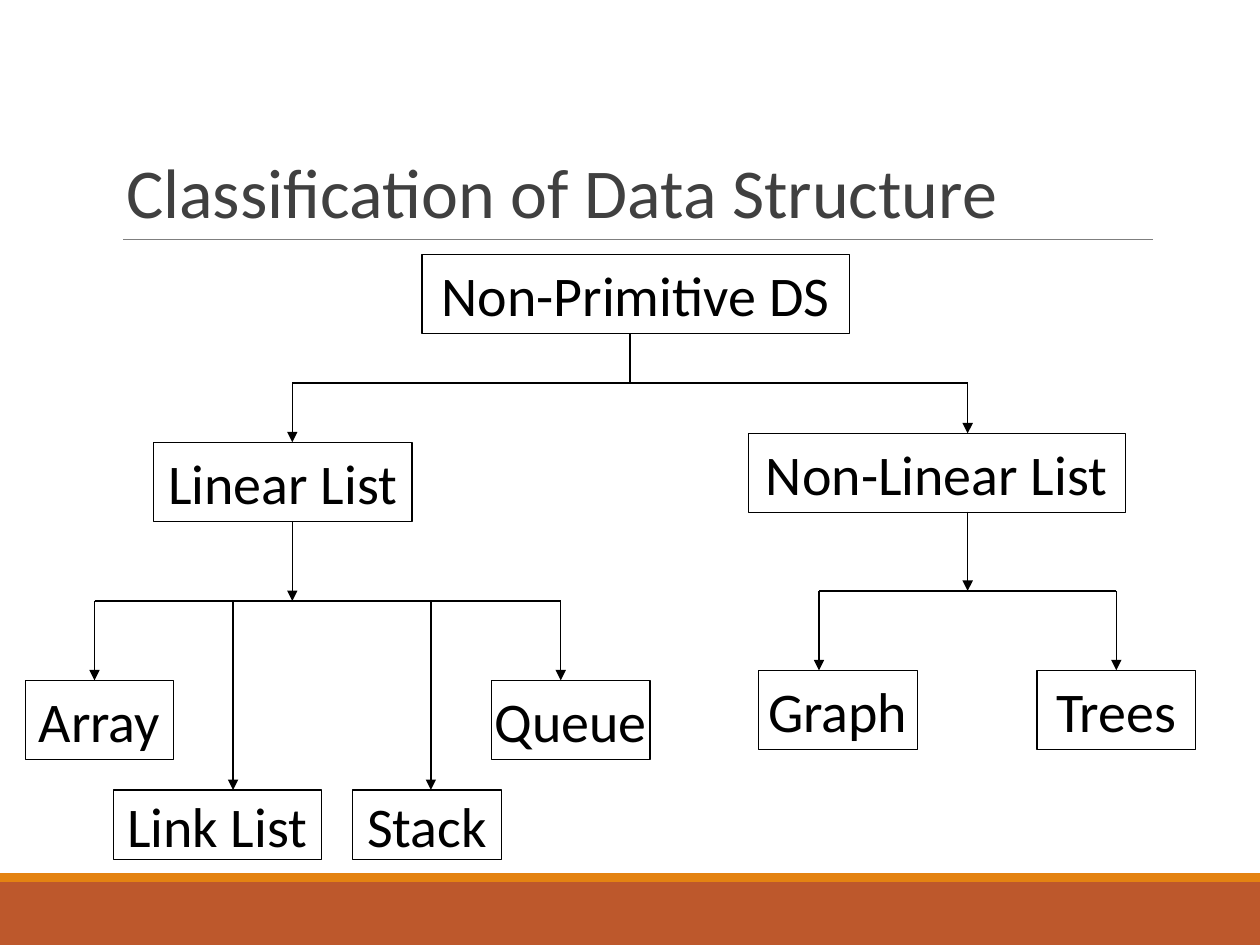
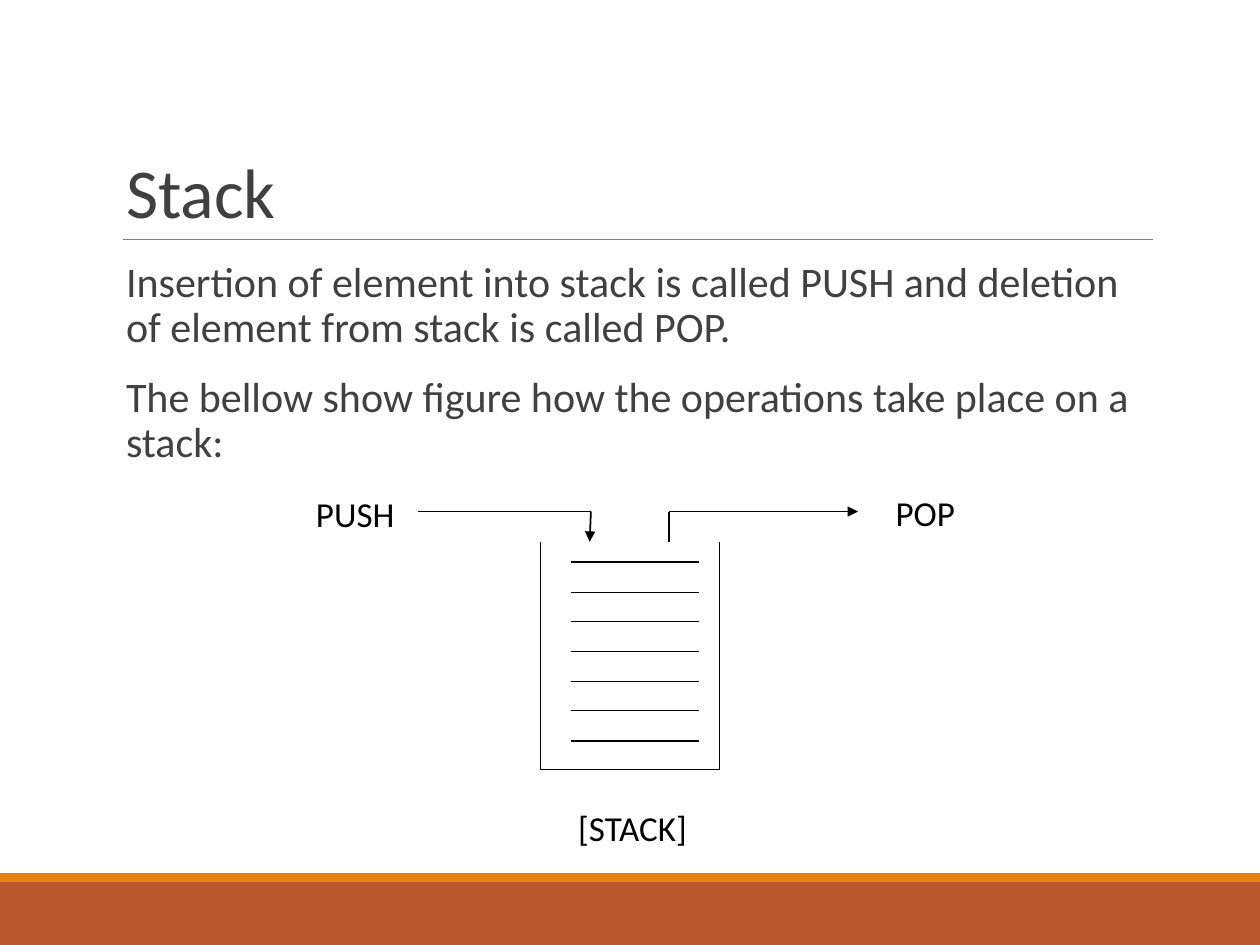
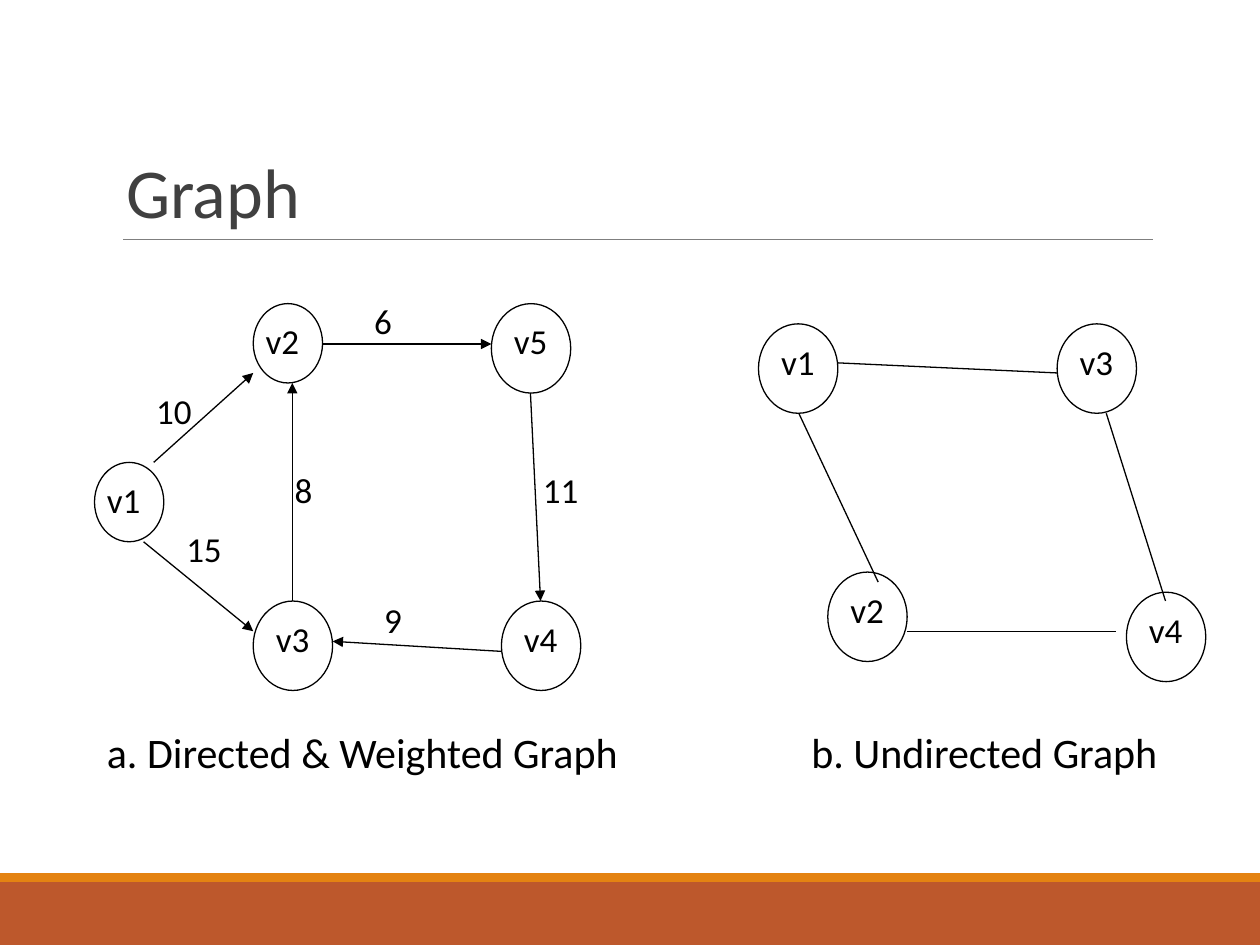
"""Build three slides on data structures: classification, stack and graph."""
import pptx
import pptx.dml.color
import pptx.enum.shapes
import pptx.enum.text
import pptx.oxml
import pptx.oxml.ns
import pptx.util

Inches = pptx.util.Inches
Pt = pptx.util.Pt
RGB = pptx.dml.color.RGBColor.from_string
SHAPE = pptx.enum.shapes.MSO_SHAPE
ANCHOR = pptx.enum.text.MSO_ANCHOR
ALIGN = pptx.enum.text.PP_ALIGN

FONT = "Calibri"
COLORS = {
    "paper": "FFFFFF",
    "ink": "000000",
    "heading": "404040",
    "rule": "7F7F7F",
    "band": "BD582C",
    "stripe": "E48312",
}


def draw_line(slide, start, end, color="ink", width=0.75, arrow=False):
    line = slide.shapes.add_connector(
        pptx.enum.shapes.MSO_CONNECTOR.STRAIGHT,
        *[Inches(value) for value in (*start, *end)])
    line.line.color.rgb = RGB(COLORS[color])
    line.line.width = Pt(width)
    if arrow:
        pptx.oxml.ns.qn("a:tailEnd")
        tip = line.line._get_or_add_ln().makeelement(
            pptx.oxml.ns.qn("a:tailEnd"), {"type": "triangle"})
        line.line._get_or_add_ln().append(tip)
    properties = line._element.spPr
    properties.append(properties.makeelement(pptx.oxml.ns.qn("a:effectLst"), {}))
    return line


def draw_block(slide, preset, place, fill, outline=None):
    block = slide.shapes.add_shape(preset, *[Inches(value) for value in place])
    block.shadow.inherit = False
    block.fill.solid()
    block.fill.fore_color.rgb = RGB(COLORS[fill])
    if outline:
        block.line.color.rgb = RGB(COLORS[outline])
        block.line.width = Pt(0.75)
    else:
        block.line.fill.background()
    return block


deck = pptx.Presentation()
deck.slide_width, deck.slide_height = Inches(10), Inches(7.5)

slides = []
for heading, layout in [("Classification of Data Structure", 5), ("Stack", 1), ("Graph", 5)]:
    slide = deck.slides.add_slide(deck.slide_layouts[layout])
    slide.background.fill.solid()
    slide.background.fill.fore_color.rgb = RGB(COLORS["paper"])
    draw_block(slide, SHAPE.RECTANGLE, (0, 7, 10, 0.5), "band")
    draw_block(slide, SHAPE.RECTANGLE, (0, 6.93, 10, 0.07), "stripe")
    draw_line(slide, (0.98, 1.9), (9.15, 1.9), "rule", 0.5)
    title = slide.shapes.title
    title.left, title.top = Inches(0.9), Inches(0.31)
    title.width, title.height = Inches(8.25), Inches(1.59)
    title.text_frame.text = heading
    title.text_frame.auto_size = pptx.enum.text.MSO_AUTO_SIZE.NONE
    title.text_frame.vertical_anchor = ANCHOR.BOTTOM
    paragraph = title.text_frame.paragraphs[0]
    paragraph.alignment = ALIGN.LEFT
    paragraph.line_spacing = 0.85
    paragraph.font.name, paragraph.font.size = FONT, Pt(40)
    paragraph.font.color.rgb = RGB(COLORS["heading"])
    slides.append(slide)
classification, stack, graph = slides

structures = {}
for name, place in [
    ("Non-Primitive DS", (3.35, 2.02, 3.39, 0.63)),
    ("Linear List", (1.22, 3.51, 2.05, 0.63)),
    ("Non-Linear List", (5.94, 3.44, 2.99, 0.63)),
    ("Array", (0.2, 5.4, 1.18, 0.63)),
    ("Link List", (0.9, 6.27, 1.65, 0.55)),
    ("Stack", (2.8, 6.27, 1.18, 0.55)),
    ("Queue", (3.9, 5.4, 1.26, 0.63)),
    ("Graph", (6.02, 5.32, 1.26, 0.63)),
    ("Trees", (8.23, 5.32, 1.26, 0.63)),
]:
    structure = draw_block(classification, SHAPE.RECTANGLE, place, "paper", "ink")
    structure.text_frame.text = name
    structure.text_frame.word_wrap = False
    structure.text_frame.vertical_anchor = ANCHOR.MIDDLE
    paragraph = structure.text_frame.paragraphs[0]
    paragraph.alignment = ALIGN.CENTER
    paragraph.font.name, paragraph.font.size = FONT, Pt(32)
    paragraph.font.color.rgb = RGB(COLORS["ink"])
    structures[name] = structure

draw_line(classification, (5, 2.65), (5, 3.04))
draw_line(classification, (2.32, 4.14), (2.32, 4.77), arrow=True)
draw_line(classification, (7.68, 4.06), (7.68, 4.69), arrow=True)
for fork_y, branches in [
    (3.04, [(2.32, 3.51), (7.68, 3.44)]),
    (4.77, [(0.75, 5.4), (1.85, 6.27), (3.42, 6.27), (4.45, 5.4)]),
    (4.69, [(6.5, 5.32), (8.86, 5.32)]),
]:
    draw_line(classification, (branches[0][0], fork_y), (branches[-1][0], fork_y))
    for x, y in branches:
        branch = draw_line(classification, (x, fork_y), (x, y), arrow=True)
branch.end_connect(structures["Trees"], 0)

operations = stack.placeholders[1]
operations.left, operations.top = Inches(0.9), Inches(2.02)
operations.width, operations.height = Inches(8.25), Inches(1.93)
operations.text_frame.text = (
    "Insertion of element into stack is called PUSH and deletion of element "
    "from stack is called POP.\n"
    "The bellow show figure how the operations take place on a stack:")
operations.text_frame.auto_size = pptx.enum.text.MSO_AUTO_SIZE.NONE
operations.text_frame.margin_right = 0
for paragraph in operations.text_frame.paragraphs:
    paragraph.line_spacing = 0.9
    paragraph.space_before, paragraph.space_after = Pt(12), Pt(2)
    paragraph.font.name, paragraph.font.size = FONT, Pt(24)
    paragraph.font.color.rgb = RGB(COLORS["heading"])
    settings = paragraph._p.get_or_add_pPr()
    settings.set("marL", "0")
    settings.set("indent", "0")
    bullet = settings.makeelement(pptx.oxml.ns.qn("a:buNone"), {})
    settings.find(pptx.oxml.ns.qn("a:defRPr")).addprevious(bullet)

for wall_x in (4.29, 5.71):
    draw_line(stack, (wall_x, 4.3), (wall_x, 6.11))
draw_line(stack, (4.29, 6.11), (5.71, 6.11))
for item in range(7):
    item_y = round(4.46 + item * 0.237, 2)
    draw_line(stack, (4.53, item_y), (5.55, item_y))
draw_line(stack, (3.32, 4.06), (4.69, 4.06), width=1)
draw_line(stack, (4.69, 4.06), (4.68, 4.3), width=1, arrow=True)
draw_line(stack, (5.31, 4.3), (5.31, 4.06))
draw_line(stack, (5.31, 4.06), (6.81, 4.06), arrow=True)

labels = [
    (stack, "PUSH", (2.41, 3.86, 1.57, 0.44), 20),
    (stack, "POP", (7.01, 3.85, 1.34, 0.44), 20),
    (stack, "[STACK]", (4.49, 6.35, 2.52, 0.44), 20),
    (graph, "a. Directed & Weighted Graph", (0.75, 5.72, 4.49, 0.9), 24),
    (graph, "b. Undirected Graph", (6.34, 5.72, 4.09, 0.5), 24),
]

small, large = (0.55, 0.63), (0.63, 0.71)
for vertex, x, y, (width, height) in [
    ("v1", 0.75, 3.67, small), ("v2", 2.01, 2.41, small), ("v3", 2.01, 4.77, large),
    ("v4", 3.98, 4.77, large), ("v5", 3.9, 2.41, large),
    ("v1", 6.02, 2.57, large), ("v2", 6.57, 4.54, large),
    ("v3", 8.39, 2.57, large), ("v4", 8.94, 4.7, large),
]:
    draw_block(graph, SHAPE.OVAL, (x, y, width, height), "paper", "ink")
    labels.append((graph, vertex, (x + width - 0.55, y + 0.08, 0.55, 0.44), 20))

for weight, start, end, weight_at in [
    ("10", (1.22, 3.67), (2.01, 2.96), (1.14, 3.04)),
    ("15", (1.14, 4.3), (2.01, 5.01), (1.38, 4.14)),
    ("8", (2.32, 4.77), (2.32, 3.04), (2.24, 3.67)),
    ("6", (2.56, 2.73), (3.9, 2.73), (2.87, 2.33)),
    ("11", (4.21, 3.12), (4.29, 4.77), (4.21, 3.67)),
    ("9", (3.98, 5.17), (2.64, 5.09), (2.95, 4.7)),
]:
    draw_line(graph, start, end, arrow=True)
    labels.append((graph, weight, (*weight_at, 0.55, 0.44), 20))

for start, end in [
    ((6.65, 2.88), (8.39, 2.96)),
    ((7.2, 5.01), (8.86, 5.01)),
    ((6.34, 3.28), (6.97, 4.62)),
    ((8.78, 3.28), (9.25, 4.77)),
]:
    draw_line(graph, start, end)

for slide, text, place, size in labels:
    label = slide.shapes.add_textbox(*[Inches(value) for value in place])
    label.text_frame.text = text
    label.text_frame.word_wrap = True
    paragraph = label.text_frame.paragraphs[0]
    paragraph.font.name, paragraph.font.size = FONT, Pt(size)
    paragraph.font.color.rgb = RGB(COLORS["ink"])

deck.save("out.pptx")
